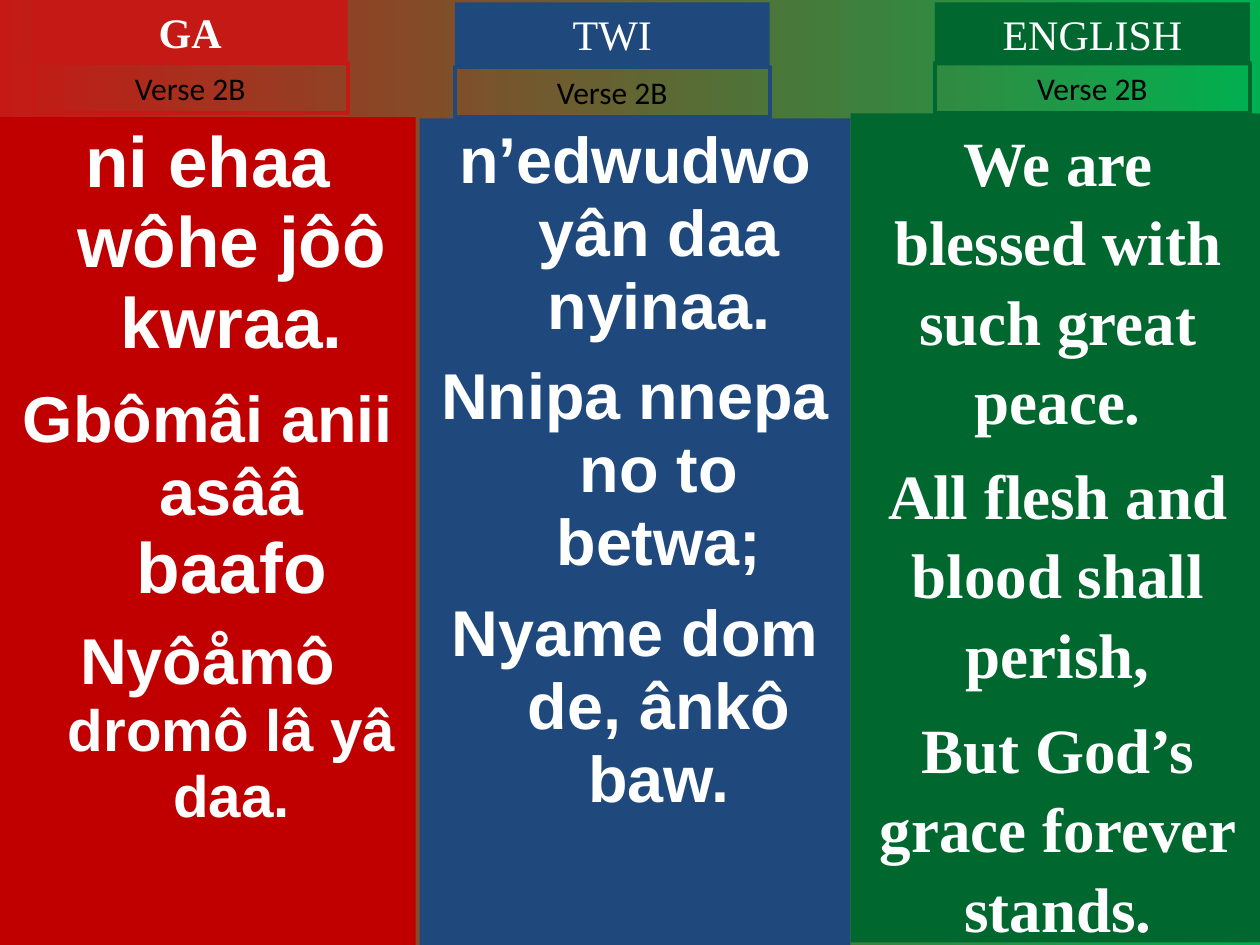
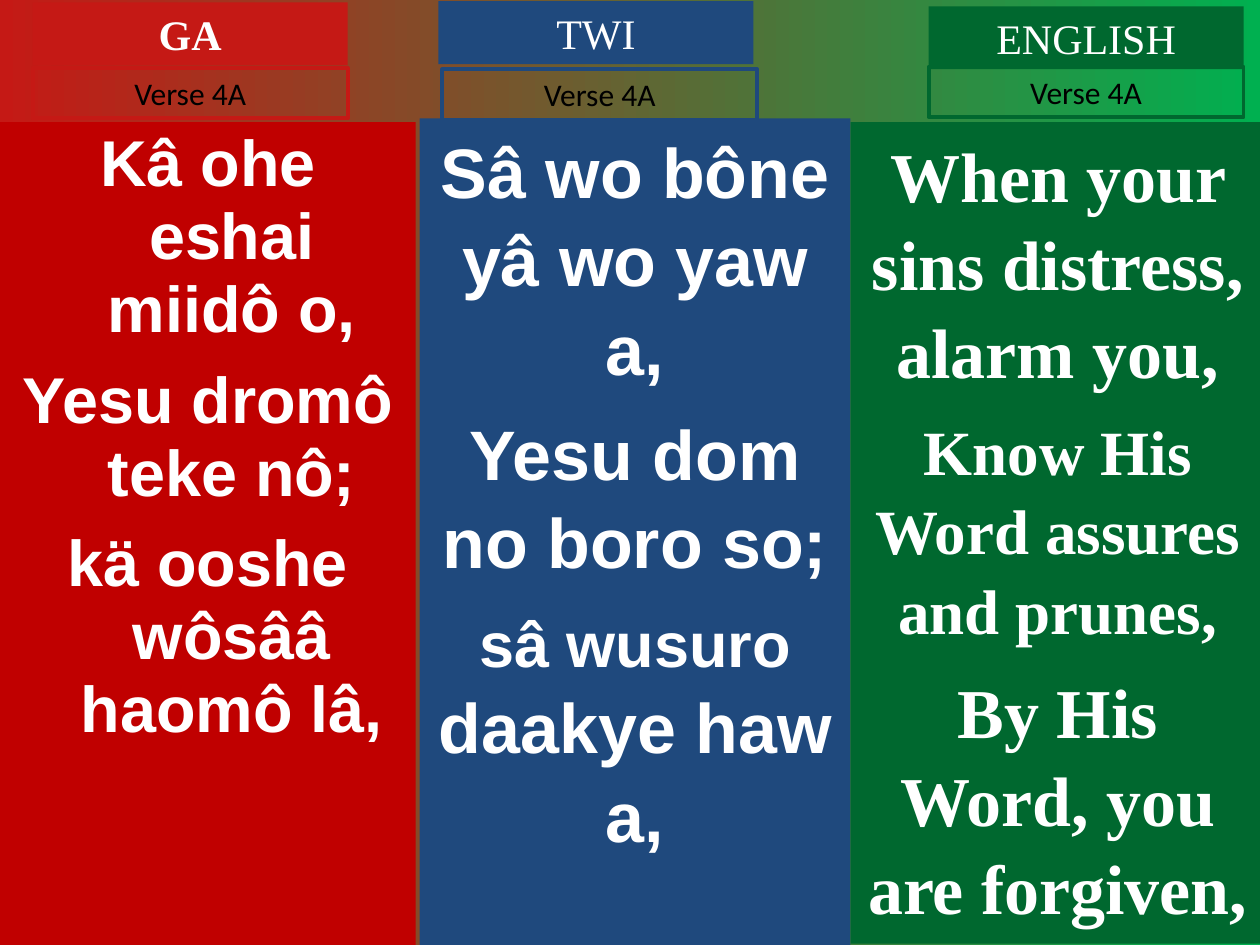
"""Build two hymn slides that set each verse in Ga, Twi and English."""
from dataclasses import dataclass
from typing import NamedTuple

import pptx
import pptx.dml.color
import pptx.enum.shapes
import pptx.enum.text
import pptx.util


@dataclass(frozen=True)
class Theme:
    """Colours, fonts and type sizes of the deck."""
    back_left: str = "C51915"
    back_right: str = "00B050"
    light: str = "FFFFFF"
    dark: str = "000000"
    sans: str = "Arial"
    serif: str = "Times New Roman"
    label: str = "Calibri"
    title_size: float = 24
    verse_size: float = 18
    border: float = 2.25
    scaled_small: float = 33.3
    scaled: float = 37
    scaled_large: float = 40.7
    body: float = 36
    body_large: float = 40
    tight: float = 0.94
    loose: float = 1.05
    hang: float = 0.38


class Box(NamedTuple):
    """A place on the grid, in columns and rows."""
    col: float
    row: float
    cols: float
    rows: float


class Phrase(NamedTuple):
    """A stretch of verse text in one size."""
    text: str
    size: float


class Line(NamedTuple):
    """A paragraph of verse text and the space before it."""
    phrases: tuple[Phrase, ...]
    before: float = 10


@dataclass(frozen=True)
class Language:
    """The constant look of one language column."""
    name: str
    panel_colour: str
    tag_colour: str
    font: str
    left: float
    width: float
    bold_title: bool = False


@dataclass(frozen=True)
class Column:
    """One language column of one slide."""
    language: Language
    panel_top: float
    panel_rows: float
    title_at: tuple[float, float]
    verse_at: tuple[float, float]
    lines: tuple[Line, ...]
    hanging: bool = False


T = Theme()
COLS, ROWS = 100, 75
TAG_COLS, TITLE_ROWS, VERSE_ROWS = 25, 5, 4

GA = Language("GA", "C00000", "C51915", T.sans, 0, 33, True)
TWI = Language("TWI", "1F497D", "1F497D", T.sans, 33.3, 34.2)
ENGLISH = Language("ENGLISH", "00682F", "00682F", T.serif, 67.5, 32.9)


def line(text: str, size: float, before: float = 10) -> Line:
    """Return a paragraph set in a single size."""
    return Line((Phrase(text, size),), before)


VERSES: dict[str, tuple[Column, ...]] = {
    "Verse 2B": (
        Column(GA, 9.3, 65.7, (2.6, 0), (2.6, 5), (
            line("ni ehaa wôhe jôô kwraa.", T.scaled_large),
            Line((Phrase("Gbômâi anii asââ ", T.scaled),
                  Phrase("baafo", T.scaled_large)), 11),
            Line((Phrase("Nyôåmô ", T.scaled),
                  Phrase("dromô lâ yâ daa.", T.scaled_small)), 9)), True),
        Column(TWI, 9.4, 65.6, (36.1, 0.2), (36.1, 5.3), (
            line("n’edwudwo yân daa nyinaa.", T.scaled),
            line("Nnipa nnepa no to betwa;", T.scaled),
            line("Nyame dom de, ânkô baw.", T.scaled)), True),
        Column(ENGLISH, 9, 65.8, (74.2, 0.2), (74.2, 5), (
            line("We are blessed with such great peace.", T.body),
            line("All flesh and blood shall perish,", T.body, 9),
            line("But God’s grace forever stands.", T.body, 9))),
    ),
    "Verse 4A": (
        Column(GA, 9.7, 65.3, (2.6, 0.2), (2.6, 5.4), (
            line("Kâ ohe eshai miidô o,", T.scaled),
            line("Yesu dromô teke nô;", T.scaled),
            line("kä ooshe wôsââ haomô lâ,", T.scaled)), True),
        Column(TWI, 9.4, 65.6, (34.8, 0.1), (35.1, 5.5), (
            line("Sâ wo bône yâ wo yaw a,", T.body_large),
            line("Yesu dom no boro so;", T.body_large),
            Line((Phrase("sâ wusuro ", T.body),
                  Phrase("daakye haw a,", T.body_large))))),
        Column(ENGLISH, 9.7, 65.2, (73.7, 0.5), (73.7, 5.3), (
            line("When your sins distress, alarm you,", T.body_large),
            line("Know His Word assures and prunes,", T.body, 9),
            line("By His Word, you are forgiven,", T.body_large))),
    ),
}


def rgb(colour: str) -> pptx.dml.color.RGBColor:
    """Return a colour from its hex digits."""
    return pptx.dml.color.RGBColor.from_string(colour)


def add_box(prs, s, box: Box, fill: str | None = None, outline: str | None = None):
    """Draw a rectangle on the grid and return its text frame."""
    cell_w, cell_h = prs.slide_width / COLS, prs.slide_height / ROWS
    sp = s.shapes.add_shape(
        pptx.enum.shapes.MSO_SHAPE.RECTANGLE,
        round(box.col * cell_w), round(box.row * cell_h),
        round(box.cols * cell_w), round(box.rows * cell_h))
    sp.shadow.inherit = False
    if fill:
        sp.fill.solid()
        sp.fill.fore_color.rgb = rgb(fill)
    else:
        sp.fill.background()
    if outline:
        sp.line.color.rgb = rgb(outline)
        sp.line.width = pptx.util.Pt(T.border)
    else:
        sp.line.fill.background()
    tf = sp.text_frame
    tf.word_wrap = True
    tf.vertical_anchor = pptx.enum.text.MSO_ANCHOR.TOP
    return tf


def style(p, font: str, colour: str, bold: bool, size: float | None = None) -> None:
    """Centre a paragraph and set its font."""
    p.alignment = pptx.enum.text.PP_ALIGN.CENTER
    p.font.name = font
    p.font.color.rgb = rgb(colour)
    p.font.bold = bold
    if size:
        p.font.size = pptx.util.Pt(size)


def add_tag(tf, text: str, font: str, colour: str, size: float, bold: bool = False) -> None:
    """Write a one-line tag."""
    p = tf.paragraphs[0]
    p.text = text
    style(p, font, colour, bold, size)


def add_lines(tf, column: Column) -> None:
    """Write the verse paragraphs of a column."""
    for i, item in enumerate(column.lines):
        p = tf.add_paragraph() if i else tf.paragraphs[0]
        p.line_spacing = T.tight if column.hanging else T.loose
        p.space_before = pptx.util.Pt(item.before if i else 0)
        if column.hanging:
            indent = pptx.util.Inches(T.hang)
            p._p.get_or_add_pPr().set("marL", str(indent))
            p._p.get_or_add_pPr().set("indent", str(-indent))
        style(p, column.language.font, T.light, True)
        for phrase in item.phrases:
            r = p.add_run()
            r.text = phrase.text
            r.font.size = pptx.util.Pt(phrase.size)


def add_column(prs, s, column: Column, verse: str) -> None:
    """Draw the panel, title and verse tag of a language."""
    lang = column.language
    panel = Box(lang.left, column.panel_top, lang.width, column.panel_rows)
    add_lines(add_box(prs, s, panel, fill=lang.panel_colour), column)
    title = add_box(prs, s, Box(*column.title_at, TAG_COLS, TITLE_ROWS), fill=lang.tag_colour)
    add_tag(title, lang.name, T.serif, T.light, T.title_size, lang.bold_title)
    tag = add_box(prs, s, Box(*column.verse_at, TAG_COLS, VERSE_ROWS), outline=lang.tag_colour)
    add_tag(tag, verse, T.label, T.dark, T.verse_size)


def paint_background(s) -> None:
    """Fill the slide with the left-to-right gradient."""
    fill = s.background.fill
    fill.gradient()
    fill.gradient_angle = 0
    for stop, colour, position in zip(
            fill.gradient_stops, (T.back_left, T.back_right), (0, 1)):
        stop.color.rgb = rgb(colour)
        stop.position = position


def main() -> None:
    """Build and save the deck."""
    prs = pptx.Presentation()
    prs.slide_width = pptx.util.Inches(10)
    prs.slide_height = pptx.util.Inches(7.5)
    for verse, columns in VERSES.items():
        s = prs.slides.add_slide(prs.slide_layouts[6])
        paint_background(s)
        for column in columns:
            add_column(prs, s, column, verse)
    prs.save("out.pptx")


if __name__ == "__main__":
    main()
